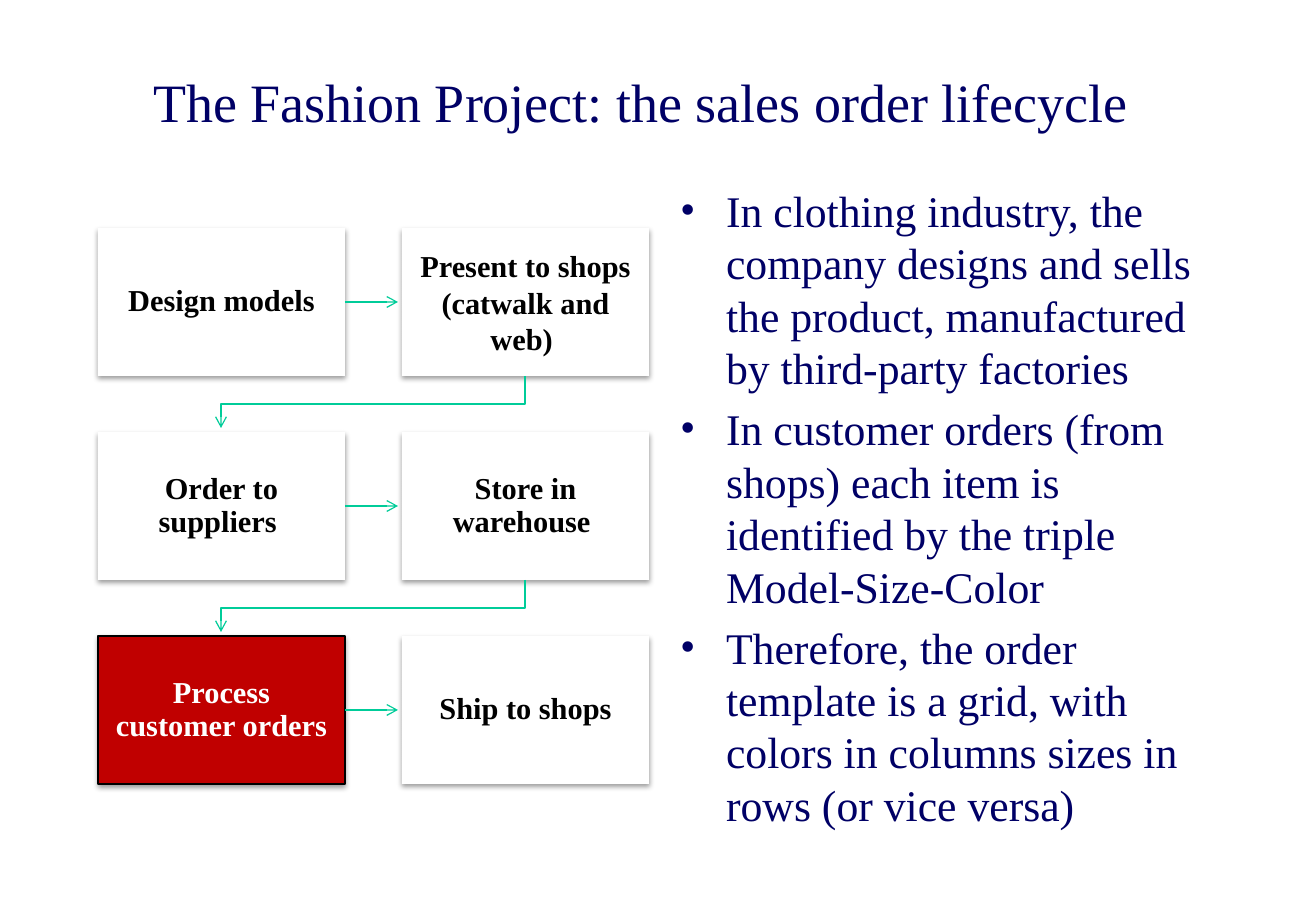
import pptx
import pptx.util
import pptx.dml.color
import pptx.enum.shapes
import pptx.enum.text
import pptx.oxml
import pptx.oxml.ns
import lxml.etree

RGB = pptx.dml.color.RGBColor
ALIGN = pptx.enum.text.PP_ALIGN
SHAPE = pptx.enum.shapes.MSO_SHAPE
NAVY = RGB(0x00, 0x00, 0x66)
GREEN = RGB(0x00, 0xCC, 0x99)
RED = RGB(0xC0, 0x00, 0x00)
WHITE = RGB(0xFF, 0xFF, 0xFF)
BLACK = RGB(0x00, 0x00, 0x00)
FONT = "Times New Roman"

TITLE = "The Fashion Project: the sales order lifecycle"
STEPS = [
    ["Design models"],
    ["Present to shops ", "(catwalk and web) "],
    ["Order to suppliers "],
    ["Store in warehouse "],
    ["Process customer orders"],
    ["Ship to shops"],
]
CURRENT_STEP = 4
POINTS = [
    "In clothing industry, the company designs and sells the product, "
    "manufactured by third-party factories",
    "In customer orders (from shops) each item is identified by the triple "
    "Model-Size-Color",
    "Therefore, the order template is a grid, with colors in columns sizes "
    "in rows (or vice versa)",
]

PX = 914400 / 121.5
COLUMNS = 2
LEFT, TOP = 98, 228
BOX_W, BOX_H = 247, 148
STEP_X, STEP_Y = 304, 204
ARROW_GAP = 4
INDENT = 46


def px(*values):
    return [round(v * PX) for v in values]


def a_element(parent, tag, **attributes):
    child = lxml.etree.SubElement(parent, pptx.oxml.ns.qn("a:" + tag))
    for name, value in attributes.items():
        child.set(name, str(value))
    return child


def write(s, lines, size, color, bold=False, align=ALIGN.CENTER,
          line_spacing=None, space_before=0, bullet=None, margins=(12, 6)):
    tf = s.text_frame
    tf.word_wrap = True
    tf.vertical_anchor = pptx.enum.text.MSO_ANCHOR.MIDDLE
    tf.margin_left = tf.margin_right = px(margins[0])[0]
    tf.margin_top = tf.margin_bottom = px(margins[1])[0]
    for i, line in enumerate(lines):
        p = tf.add_paragraph() if i else tf.paragraphs[0]
        p.alignment = align
        if line_spacing:
            p.line_spacing = line_spacing
        if i and space_before:
            p.space_before = pptx.util.Pt(space_before)
        if bullet:
            pPr = p._p.get_or_add_pPr()
            pPr.set("marL", str(px(INDENT)[0]))
            pPr.set("indent", str(-px(INDENT)[0]))
            a_element(pPr, "buFont", typeface=FONT)
            a_element(pPr, "buChar", char=bullet)
        r = p.add_run()
        r.text = line
        r.font.name = FONT
        r.font.size = pptx.util.Pt(size)
        r.font.bold = bold
        r.font.color.rgb = color


def add_text(slide, box, lines, **text_format):
    write(slide.shapes.add_textbox(*px(*box)), lines, **text_format)


def add_step(slide, x, y, lines, current):
    s = slide.shapes.add_shape(SHAPE.RECTANGLE, *px(x, y, BOX_W, BOX_H))
    s.fill.solid()
    s.fill.fore_color.rgb = RED if current else WHITE
    if current:
        s.line.color.rgb = BLACK
        s.line.width = pptx.util.Pt(0.75)
    else:
        s.line.fill.background()
    s.shadow.inherit = False
    effects = s._element.spPr.find(pptx.oxml.ns.qn("a:effectLst"))
    shadow = a_element(effects, "outerShdw", blurRad=40000, dist=20000,
                       dir=5400000, rotWithShape=0)
    a_element(a_element(shadow, "srgbClr", val=BLACK), "alpha", val=38000)
    write(s, lines, size=18, color=WHITE if current else BLACK, bold=True,
          line_spacing=0.9 if len(lines) == 1 else None, margins=(16, 16))


def add_arrow(slide, points):
    """Draw a straight connector, or an open outline when the arrow bends."""
    if len(points) == 2:
        s = slide.shapes.add_connector(
            pptx.enum.shapes.MSO_CONNECTOR.STRAIGHT, *px(*points[0], *points[1]))
    else:
        outline = slide.shapes.build_freeform(*points[0], scale=PX)
        outline.add_line_segments(points[1:], close=False)
        s = outline.convert_to_shape()
        s.fill.background()
    s.line.color.rgb = GREEN
    s.line.width = pptx.util.Pt(0.75)
    a_element(s.line._get_or_add_ln(), "tailEnd", type="arrow")
    a_element(s._element.spPr, "effectLst")


def main():
    prs = pptx.Presentation()
    prs.slide_width, prs.slide_height = px(1316, 911)
    slide = prs.slides.add_slide(prs.slide_layouts[6])
    add_text(slide, (98, 40, 1086, 122), [TITLE], size=32, color=NAVY)

    corners = [(LEFT + i % COLUMNS * STEP_X, TOP + i // COLUMNS * STEP_Y)
               for i in range(len(STEPS))]
    for i, ((x, y), lines) in enumerate(zip(corners, STEPS)):
        add_step(slide, x, y, lines, i == CURRENT_STEP)
    for (x, y), (next_x, next_y) in zip(corners, corners[1:]):
        if y == next_y:
            middle = y + BOX_H // 2
            add_arrow(slide, [(x + BOX_W, middle), (next_x - ARROW_GAP, middle)])
        else:
            start, end = x + BOX_W // 2, next_x + BOX_W // 2
            bend = (y + BOX_H + next_y) // 2
            add_arrow(slide, [(start, y + BOX_H), (start, bend), (end, bend),
                              (end, next_y - ARROW_GAP)])

    add_text(slide, (668, 203, 549, 608), POINTS, size=25.9, color=NAVY,
             align=ALIGN.LEFT, space_before=5, bullet="•")
    prs.save("out.pptx")


if __name__ == "__main__":
    main()
